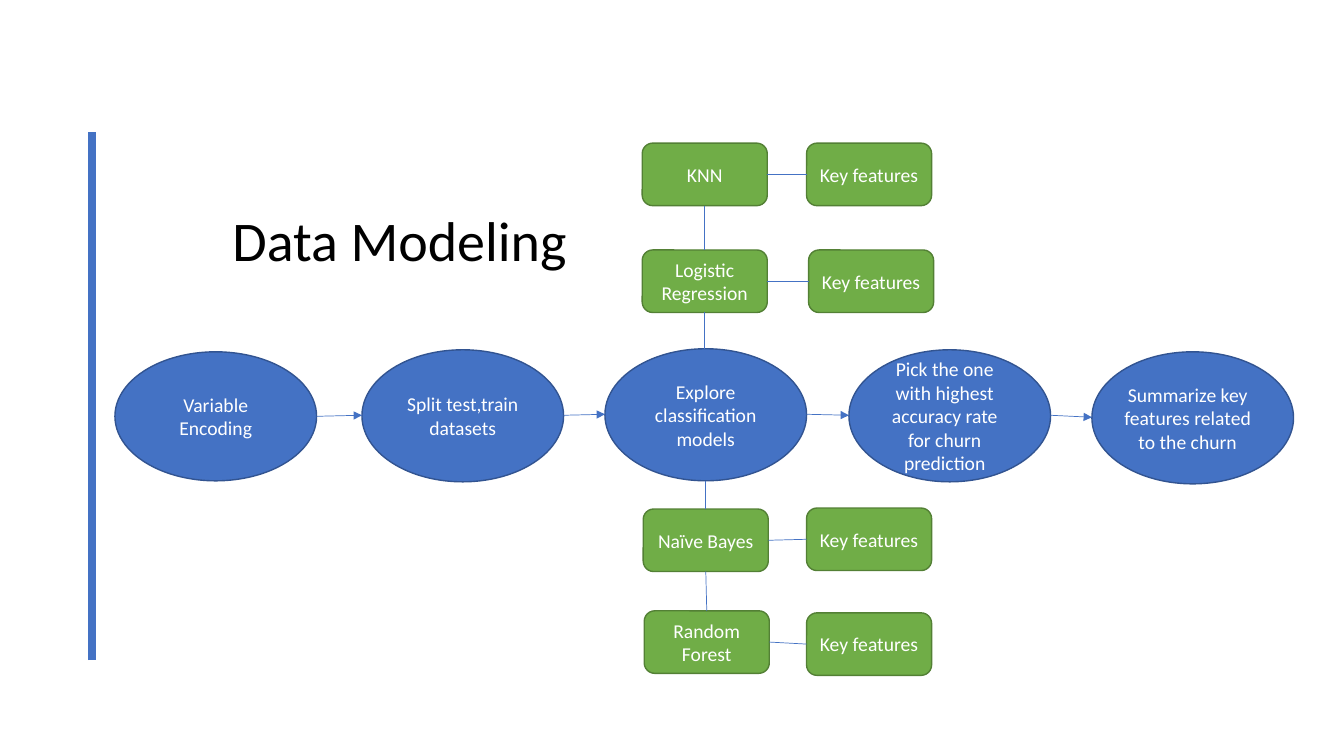
from itertools import pairwise
from lxml.etree import SubElement
from pptx import Presentation
from pptx.dml.color import RGBColor
from pptx.enum.shapes import MSO_CONNECTOR, MSO_SHAPE
from pptx.enum.text import MSO_ANCHOR, PP_ALIGN
from pptx.oxml.ns import qn
from pptx.util import Pt

COLORS = {"blue": "4472C4", "blue_edge": "325491", "green": "70AD47",
          "green_edge": "538035", "white": "FFFFFF", "black": "000000"}
SCALE = 9144
TOP, LEFT, BOTTOM, RIGHT = range(4)


class Deck:
    """Draws styled elements on the current slide, in px of 1/100 inch."""

    def __init__(self, prs, font="Calibri"):
        self.font = font
        self.s = prs.slides.add_slide(prs.slide_layouts[5])

    def px(self, *values):
        return [v * SCALE for v in values]

    def color(self, name):
        return RGBColor.from_string(COLORS[name])

    def add_text(self, tf, text, size, color, align, anchor):
        tf.word_wrap = True
        tf.vertical_anchor = anchor
        p = tf.paragraphs[0]
        p.alignment = align
        r = p.add_run()
        r.text = text
        r.font.name = self.font
        r.font.size = Pt(size)
        r.font.color.rgb = self.color(color)
        return p

    def title(self, text, box):
        sp = self.s.shapes.title
        sp.left, sp.top, sp.width, sp.height = self.px(*box)
        p = self.add_text(sp.text_frame, text, 40, "black", PP_ALIGN.RIGHT, MSO_ANCHOR.BOTTOM)
        p.line_spacing = 0.9

    def node(self, kind, text, box, fill, inset=10):
        sp = self.s.shapes.add_shape(kind, *self.px(*box))
        sp.shadow.inherit = False
        sp.fill.solid()
        sp.fill.fore_color.rgb = self.color(fill)
        sp.line.color.rgb = self.color(fill + "_edge")
        sp.line.width = Pt(1)
        sp.text_frame.margin_left = inset * SCALE
        self.add_text(sp.text_frame, text, 14, "white", PP_ALIGN.CENTER, MSO_ANCHOR.MIDDLE)
        return sp

    def ellipse(self, text, box, inset):
        return self.node(MSO_SHAPE.OVAL, text, box, "blue", inset)

    def card(self, text, x, y):
        return self.node(MSO_SHAPE.ROUNDED_RECTANGLE, text, (x, y, 124, 62), "green")

    def line(self, begin, end, width=0.5, arrow=False):
        points = [e if isinstance(e[0], int) else (0, 0) for e in (begin, end)]
        c = self.s.shapes.add_connector(
            MSO_CONNECTOR.STRAIGHT, *self.px(*points[0], *points[1]))
        if not isinstance(begin[0], int):
            c.begin_connect(*begin)
        if not isinstance(end[0], int):
            c.end_connect(*end)
        c.line.color.rgb = self.color("blue")
        c.line.width = Pt(width)
        if arrow:
            SubElement(c.line._get_or_add_ln(), qn("a:tailEnd"), type="triangle")
        SubElement(c._element.spPr, qn("a:effectLst"))


def main():
    prs = Presentation()
    prs.slide_width, prs.slide_height = 1333 * SCALE, 750 * SCALE
    deck = Deck(prs)
    deck.line((91, 655), (91, 131), width=6)
    deck.title("Data Modeling", (92, 131, 480, 145))

    steps = [
        ("Variable Encoding", (114, 349, 200, 128), 10),
        ("Split test,train datasets", (359, 347, 200, 131), 10),
        ("Explore classification models", (600, 346, 200, 131), 10),
        ("Pick the one with highest accuracy rate for churn prediction",
         (842, 347, 200, 131), 0),
        ("Summarize key features related to the churn", (1083, 349, 200, 131), 0),
    ]
    for step in steps:
        deck.ellipse(*step)
    for (_, (x, y, w, h), _), (_, (x2, y2, _, h2), _) in pairwise(steps):
        deck.line((x + w, y + h // 2), (x2, y2 + h2 // 2), arrow=True)

    models = [
        ("KNN", (637, 142), (800, 142)),
        ("Logistic Regression", (637, 248), (802, 248)),
        ("Naïve Bayes", (638, 505), (800, 504)),
        ("Random Forest", (639, 606), (800, 608)),
    ]
    cards = []
    for name, at, key_at in models:
        card = deck.card(name, *at)
        key = deck.card("Key features", *key_at)
        deck.line((key, LEFT), (card, RIGHT))
        cards.append(card)

    knn, logistic, bayes, forest = cards
    deck.line((knn, BOTTOM), (logistic, TOP))
    deck.line((logistic, BOTTOM), (699, 346))
    deck.line((700, 477), (bayes, TOP))
    deck.line((bayes, BOTTOM), (forest, TOP))
    prs.save("out.pptx")


if __name__ == "__main__":
    main()
